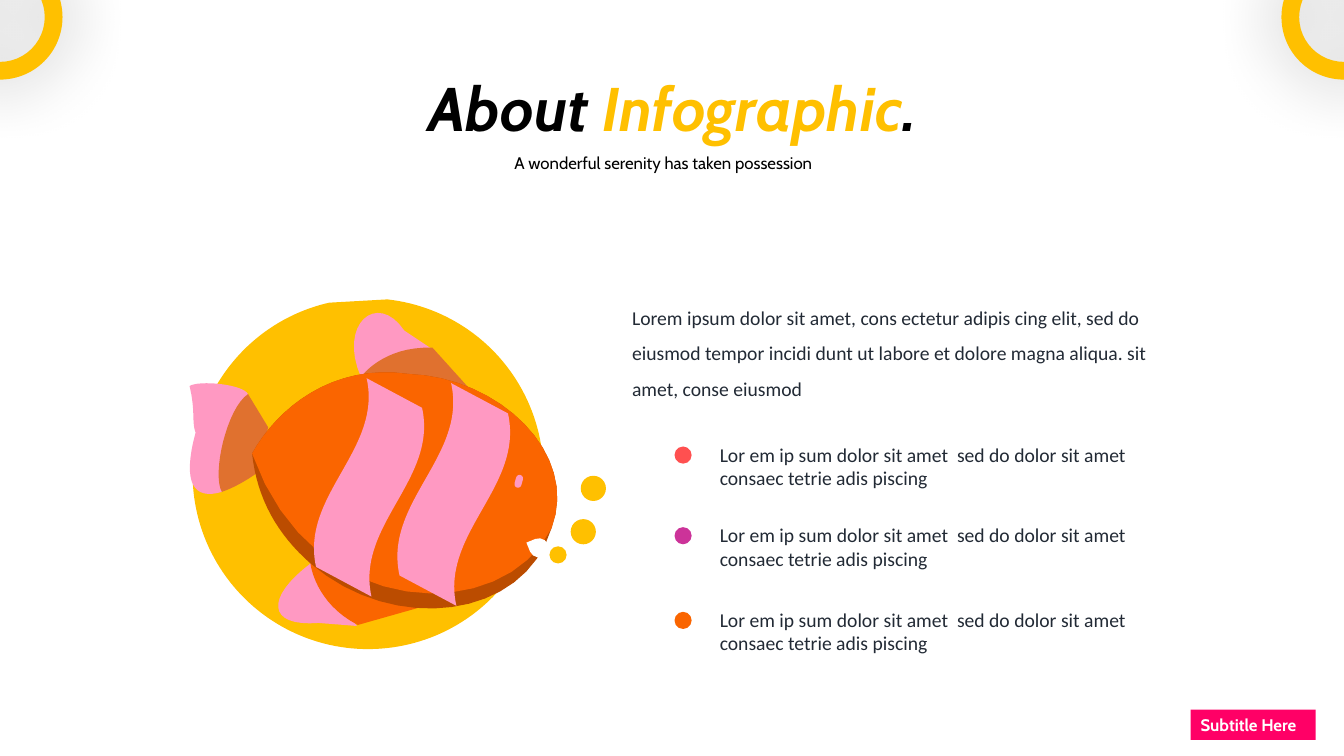
from math import comb

from lxml import etree
from pptx import Presentation
from pptx.dml.color import RGBColor
from pptx.enum.shapes import MSO_SHAPE as SHAPE
from pptx.enum.text import MSO_AUTO_SIZE as AUTO_SIZE, PP_ALIGN as ALIGN
from pptx.oxml import parse_xml
from pptx.util import Inches, Pt

YELLOW = RGBColor(0xFF, 0xC0, 0x00)
ORANGE = RGBColor(0xFA, 0x65, 0x00)
BROWN = RGBColor(0xBB, 0x4C, 0x00)
RUST = RGBColor(0xE0, 0x71, 0x2F)
PINK = RGBColor(0xFF, 0x99, 0xC2)
RED = RGBColor(0xFF, 0x50, 0x50)
PURPLE = RGBColor(0xCC, 0x33, 0x99)
MAGENTA = RGBColor(0xFF, 0x00, 0x66)
SLATE = RGBColor(0x22, 0x2A, 0x35)
BLACK = RGBColor(0, 0, 0)
WHITE = RGBColor(0xFF, 0xFF, 0xFF)

CURVE_STEPS = 16
DRAWING_NS = "http://schemas.openxmlformats.org/drawingml/2006/main"
SHADOW = f"""<a:outerShdw xmlns:a="{DRAWING_NS}" blurRad="{Pt(49)}" dist="0" dir="0"
 algn="ctr" rotWithShape="0"><a:srgbClr val="000000"><a:alpha val="33000"/></a:srgbClr>
</a:outerShdw>"""


def paint(shape, color, rotation=0, adjustments=()):
    shape.shadow.inherit = False
    shape.fill.solid()
    shape.fill.fore_color.rgb = color
    shape.line.fill.background()
    shape.rotation = rotation
    for index, value in enumerate(adjustments):
        shape.adjustments[index] = value


def write(shape, text, *, size, color, font="Cabin", bold=False, italic=False,
          align=ALIGN.LEFT, spacing=1.0, wrap=True):
    frame = shape.text_frame
    frame.word_wrap = wrap
    frame.auto_size = AUTO_SIZE.SHAPE_TO_FIT_TEXT
    para = frame.paragraphs[0]
    para.alignment = align
    para.line_spacing = spacing
    span = para.add_run()
    span.text = text
    span.font.size = Pt(size)
    span.font.name = font
    span.font.bold = bold
    span.font.italic = italic
    span.font.color.rgb = color


deck = Presentation()
deck.slide_width, deck.slide_height = Inches(13.33), Inches(7.5)
page = deck.slides.add_slide(deck.slide_layouts[6])
page.background.fill.solid()
page.background.fill.fore_color.rgb = WHITE
shapes = page.shapes

backdrop = shapes.add_shape(SHAPE.CHORD, Inches(1.91), Inches(2.96), Inches(3.48), Inches(3.48))
paint(backdrop, YELLOW, 95.2, (181.14 * 0.6, 162 * 0.6))

fish_back = [(2.5, 4.5), (2.75, 4.05, 3.3, 3.6, 4.05, 3.71), (4.95, 3.74, 5.75, 4.5, 5.47, 5.24)]
fish_parts = [
    (PINK, [(2.2, 4.88), (1.93, 4.96, 1.8, 4.81, 1.94, 4.29),
            (1.9, 4.19, 1.94, 4.07, 1.88, 3.83), (1.97, 3.77, 2.41, 3.81, 2.46, 3.91)]),
    (RUST, [(2.66, 4.24), (2.54, 4.7), (2.41, 4.79, 2.29, 4.85, 2.2, 4.88),
            (2.1, 4.7, 2.25, 4.05, 2.46, 3.91)]),
    (PINK, [(3.58, 3.74), (3.35, 3.22, 3.74, 2.88, 4.01, 3.28), (4.28, 3.46)]),
    (PINK, [(3.08, 5.59), (2.63, 5.93, 2.65, 6.22, 3.16, 6.18), (3.54, 6.21)]),
    (RUST, [(3.58, 3.74), (3.58, 3.74, 3.8, 3.43, 4.29, 3.45), (4.66, 3.86)]),
    (ORANGE, [(3.08, 5.59), (3.08, 5.59, 3.12, 5.98, 3.55, 6.2), (4.15, 6.03)]),
    (BROWN, fish_back + [(5.2, 6.15, 3.9, 6.3, 3.08, 5.59), (2.75, 5.3, 2.55, 4.95, 2.5, 4.5)]),
    (ORANGE, fish_back + [(5, 6.2, 3.1, 6.2, 2.5, 4.5)]),
]
fish = shapes.add_group_shape()
for color, (start, *segments) in fish_parts:
    points = [start]
    for segment in segments:
        controls = [points[-1], *zip(segment[::2], segment[1::2])]
        degree = len(controls) - 1
        for step in range(1, CURVE_STEPS + 1):
            t = step / CURVE_STEPS
            weights = [comb(degree, k) * t ** k * (1 - t) ** (degree - k)
                       for k in range(degree + 1)]
            points.append([sum(w * value for w, value in zip(weights, axis))
                           for axis in zip(*controls)])
    corners = [(Inches(x), Inches(y)) for x, y in points]
    outline = fish.shapes.build_freeform(*corners[0])
    outline.add_line_segments(corners[1:], close=True)
    paint(outline.convert_to_shape(), color)

fish_details = [
    (SHAPE.WAVE, 3.44, 4.49, 2.12, 0.83, PINK, 105, (0.125, -0.034)),
    (SHAPE.WAVE, 2.62, 4.43, 2.08, 0.81, PINK, 105, (0.125, -0.034)),
    (SHAPE.ROUNDED_RECTANGLE, 5.11, 4.71, 0.07, 0.13, PINK, 15, (0.5,)),
    (SHAPE.TEAR, 5.25, 5.34, 0.19, 0.19, WHITE, 247.6, ()),
]
for kind, left, top, width, height, color, rotation, adjustments in fish_details:
    detail = fish.shapes.add_shape(kind, Inches(left), Inches(top), Inches(width), Inches(height))
    paint(detail, color, rotation, adjustments)

for left, top, size in [(5.45, 5.42, 0.17), (5.66, 5.15, 0.25), (5.76, 4.72, 0.25)]:
    bubble = shapes.add_shape(SHAPE.OVAL, Inches(left), Inches(top), Inches(size), Inches(size))
    paint(bubble, YELLOW)

intro = shapes.add_textbox(Inches(6.17), Inches(2.87), Inches(5.51), Inches(1.12))
write(intro, "Lorem ipsum dolor sit amet, cons ectetur adipis cing elit, sed do eiusmod tempor "
      "incidi dunt ut labore et dolore magna aliqua. sit amet, conse eiusmod",
      size=14, color=SLATE, font="Calibri", spacing=1.5)

for top, color in [(4.34, RED), (5.14, PURPLE), (5.98, ORANGE)]:
    item = shapes.add_textbox(Inches(7.04), Inches(top), Inches(4.82), Inches(0.57))
    write(item, "Lor em ip sum dolor sit amet  sed do dolor sit amet consaec tetrie adis piscing",
          size=14, color=SLATE, font="Calibri")
    dot = shapes.add_shape(SHAPE.OVAL, Inches(6.69), Inches(top + 0.09), Inches(0.17), Inches(0.17))
    paint(dot, color)

title = shapes.add_textbox(Inches(2.37), Inches(0.64), Inches(8.6), Inches(0.84))
for text, color in [("About ", BLACK), ("Infographic", YELLOW), (".", BLACK)]:
    write(title, text, size=44, color=color, bold=True, italic=True, align=ALIGN.CENTER)

tagline = shapes.add_textbox(Inches(4.37), Inches(1.37), Inches(4.42), Inches(0.37))
write(tagline, "A wonderful serenity has taken possession",
      size=12, color=BLACK, align=ALIGN.CENTER, spacing=1.5)

label = shapes.add_shape(SHAPE.RECTANGLE, Inches(11.81), Inches(7.04), Inches(1.24), Inches(0.3))
paint(label, MAGENTA)
write(label, "Subtitle Here", size=12, color=WHITE, bold=True, wrap=False)

for left in (-0.62, 12.71):
    ring = shapes.add_shape(SHAPE.DONUT, Inches(left), Inches(-0.45), Inches(1.24), Inches(1.24))
    paint(ring, YELLOW, adjustments=(0.142,))
    effects = ring._element.spPr.find(etree.QName(DRAWING_NS, "effectLst").text)
    effects.append(parse_xml(SHADOW))

deck.save("out.pptx")
